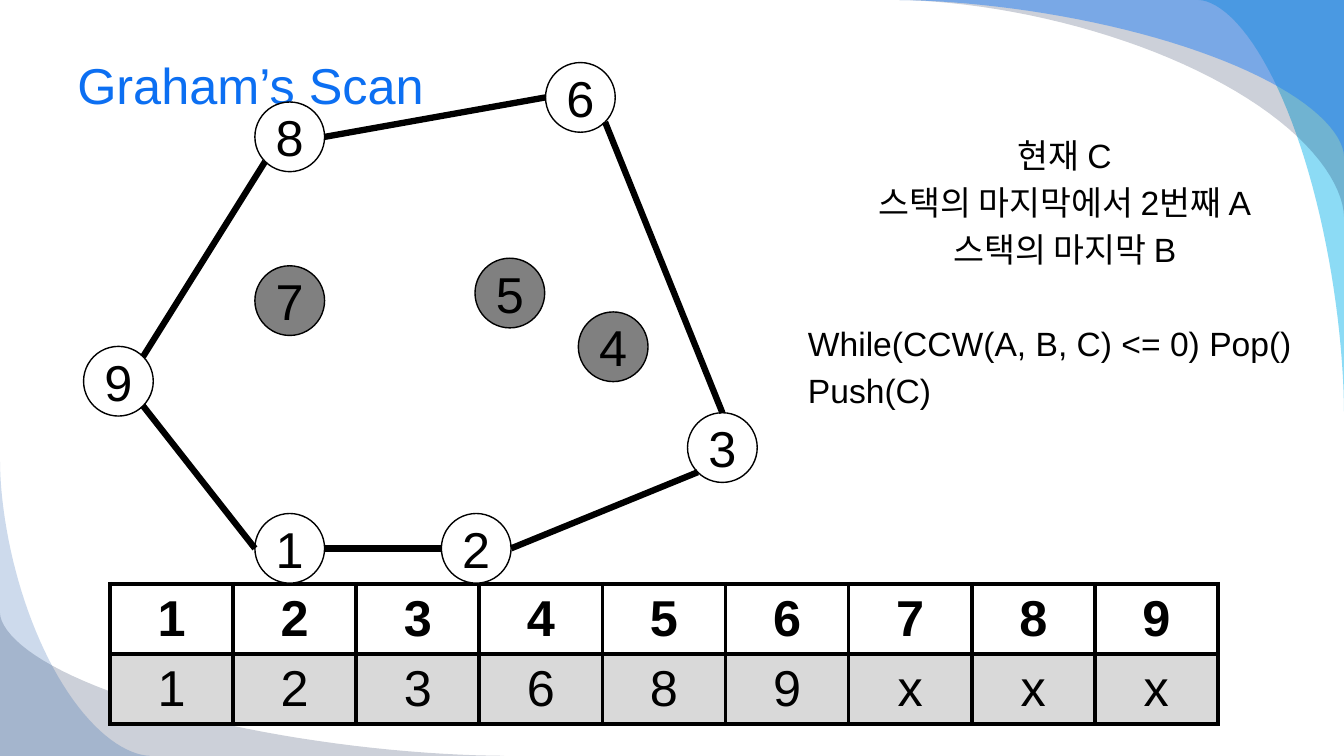
import math
import pptx
import pptx.util
import pptx.dml.color
import pptx.enum.shapes
import pptx.enum.text
import pptx.oxml
import pptx.oxml.ns
from dataclasses import dataclass
from lxml import etree

Pt = pptx.util.Pt
Align = pptx.enum.text.PP_ALIGN
Anchor = pptx.enum.text.MSO_ANCHOR
qn = pptx.oxml.ns.qn


@dataclass
class Theme:
    font: str = "Arial"
    ink: str = "000000"
    paper: str = "FFFFFF"
    head: str = "0C6FF2"
    out: str = "808080"
    band: str = "D9D9D9"
    sky: str = "00B1E9"
    navy: str = "021741"
    blue: str = "247FF4"
    deep: str = "084AA1"
    big: int = 36
    mid: int = 24
    gap: float = 4.8
    thin: float = 1
    rule: float = 3
    edge: float = 4.5


class Board:
    cols = 16
    node = 0.83

    def __init__(self, deck, theme):
        self.theme = theme
        self.unit = deck.slide_width / self.cols
        self.slide = deck.slides.add_slide(deck.slide_layouts[5])
        self.shapes = self.slide.shapes

    def emu(self, *cells):
        return [round(c * self.unit) for c in cells]

    def tint(self, name):
        return pptx.dml.color.RGBColor.from_string(name)

    def paint(self, shape, color):
        shape.fill.solid()
        shape.fill.fore_color.rgb = self.tint(color)

    def label(self, para, text, size, color, bold=False, align=Align.CENTER):
        para.alignment = align
        run = para.add_run()
        run.text = text
        run.font.name = self.theme.font
        run.font.size = Pt(size)
        run.font.bold = bold
        run.font.color.rgb = self.tint(color)

    def veil(self, x, y, w, h, color, alpha, bend=1.75, steps=40):
        curve = []
        for i in range(steps + 1):
            turn = math.pi / 2 * i / steps
            u = math.sin(turn) ** (2 / bend)
            v = abs(math.cos(turn)) ** (2 / bend)
            curve.append(self.emu(x + w * (1 - u), y + h * (1 - v)))
        pen = self.shapes.build_freeform(*self.emu(x, y), scale=1.0)
        pen.add_line_segments(curve, close=True)
        shape = pen.convert_to_shape()
        shape.shadow.inherit = False
        shape.line.fill.background()
        self.paint(shape, color)
        tone = shape._element.spPr.find(qn("a:solidFill"))[0]
        etree.SubElement(tone, qn("a:alpha"), val=str(alpha * 1000))

    def title(self, text, x, y, w, h):
        box = self.shapes.title
        box.left, box.top, box.width, box.height = self.emu(x, y, w, h)
        box.text_frame.vertical_anchor = Anchor.MIDDLE
        self.label(box.text_frame.paragraphs[0], text, self.theme.big,
                   self.theme.head, align=Align.LEFT)
        self.shapes._spTree.append(box._element)

    def table(self, data, x, y, w, h):
        frame = self.shapes.add_table(len(data), len(data[0]),
                                      *self.emu(x, y, w, h))
        fills = (self.theme.paper, self.theme.band)
        for r, line in enumerate(data):
            for c, text in enumerate(line):
                cell = frame.table.cell(r, c)
                cell.vertical_anchor = Anchor.MIDDLE
                self.label(cell.text_frame.paragraphs[0], text,
                           self.theme.big, self.theme.ink, bold=r == 0)
                self.frame(cell)
                self.paint(cell, fills[r])

    def frame(self, cell):
        props = cell._tc.get_or_add_tcPr()
        for side in ("lnL", "lnR", "lnT", "lnB"):
            line = etree.SubElement(props, qn("a:" + side),
                                    w=str(Pt(self.theme.rule)))
            fill = etree.SubElement(line, qn("a:solidFill"))
            etree.SubElement(fill, qn("a:srgbClr"), val=self.theme.ink)

    def point(self, text, x, y, color):
        half = self.node / 2
        dot = self.shapes.add_shape(
            pptx.enum.shapes.MSO_SHAPE.OVAL,
            *self.emu(x - half, y - half, self.node, self.node))
        dot.shadow.inherit = False
        self.paint(dot, color)
        dot.line.color.rgb = self.tint(self.theme.ink)
        dot.line.width = Pt(self.theme.thin)
        dot.text_frame.vertical_anchor = Anchor.MIDDLE
        self.label(dot.text_frame.paragraphs[0], text, self.theme.big,
                   self.theme.ink)

    def rim(self, spot, angle):
        turn = math.radians(angle)
        return self.emu(spot[0] + self.node / 2 * math.cos(turn),
                        spot[1] + self.node / 2 * math.sin(turn))

    def edge(self, start, leave, end, reach):
        line = self.shapes.add_connector(
            pptx.enum.shapes.MSO_CONNECTOR.STRAIGHT,
            *self.rim(start, leave), *self.rim(end, reach))
        line.line.color.rgb = self.tint(self.theme.ink)
        line.line.width = Pt(self.theme.edge)
        etree.SubElement(line._element.spPr, qn("a:effectLst"))

    def notes(self, lines, x, y, w, h, inset):
        box = self.shapes.add_textbox(*self.emu(x, y, w, h))
        text = box.text_frame
        text.word_wrap = True
        text.margin_top = self.emu(inset)[0]
        for i, (words, align, before) in enumerate(lines):
            para = text.add_paragraph() if i else text.paragraphs[0]
            para.space_before = Pt(before)
            self.label(para, words, self.theme.mid, self.theme.ink,
                       align=align)


def main():
    deck = pptx.Presentation()
    deck.slide_width = pptx.util.Inches(13.33)
    deck.slide_height = pptx.util.Inches(7.5)
    theme = Theme()
    board = Board(deck, theme)

    for veil in (
        (16, 0, -1.73, 4.9, theme.sky, 45),
        (16, 0, -5.33, 2.58, theme.navy, 20),
        (16, 0, -5.33, 1.86, theme.blue, 49),
        (0, 9, 6, -1.7, theme.navy, 20),
        (0, 9, 1.78, -3.5, theme.deep, 20),
    ):
        board.veil(*veil)

    board.title("Graham’s Scan", 0.8, 0.4, 14.4, 1.21)
    board.table(("123456789", "123689xxx"), 1.31, 6.95, 13.19, 1.67)

    spots = {
        8: (3.45, 1.63), 3: (8.6, 5.33), 9: (1.41, 4.54),
        4: (7.3, 4.13), 2: (5.67, 6.53), 7: (3.45, 3.58),
        5: (6.07, 3.49), 1: (3.45, 6.53), 6: (6.91, 1.16),
    }
    for name, spot in spots.items():
        board.point(str(name), *spot,
                    theme.out if name in (4, 5, 7) else theme.paper)

    blank = theme.mid * 1.2 + 2 * theme.gap
    board.notes((
        ("현재 C", Align.CENTER, theme.gap),
        ("스택의 마지막에서 2번째 A", Align.CENTER, theme.gap),
        ("스택의 마지막 B", Align.CENTER, theme.gap),
        ("While(CCW(A, B, C) <= 0) Pop()", Align.LEFT, blank),
        ("Push(C)", Align.LEFT, theme.gap),
    ), 9.5, 0.48, 6.35, 6.26, 1.13)

    for start, leave, end, reach in (
        (1, 0, 2, 180), (2, 0, 3, 135), (6, 45, 3, 270),
        (6, 180, 8, 0), (9, 315, 8, 135), (9, 45, 1, 180),
    ):
        board.edge(spots[start], leave, spots[end], reach)

    deck.save("out.pptx")


if __name__ == "__main__":
    main()
